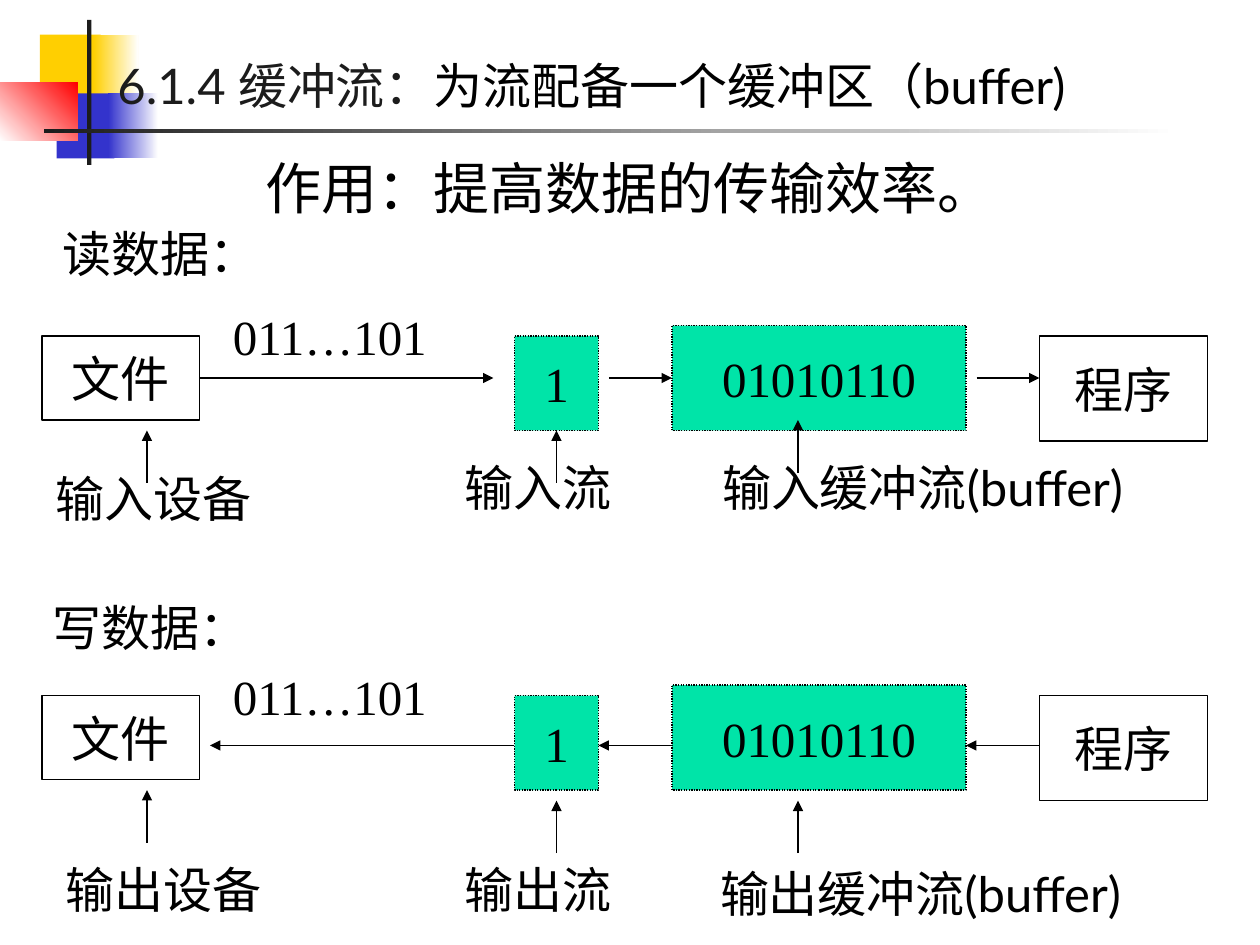
import pptx
import pptx.dml.color
import pptx.enum.dml
import pptx.enum.shapes
import pptx.enum.text
import pptx.oxml
import pptx.oxml.ns
import pptx.util
from dataclasses import dataclass


@dataclass(frozen=True)
class Theme:
    ink: str = "000000"
    charcoal: str = "1C1C1C"
    white: str = "FFFFFF"
    yellow: str = "FFCF01"
    blue: str = "3333CC"
    red: str = "FF0000"
    mint: str = "00E4A8"
    label_font: str = "Lato"
    data_font: str = "Times New Roman"
    body: int = 28
    lead: int = 32
    hairline: float = 0.75


THEME = Theme()
CELL = 1 / 12  # the slide is a grid of 120 columns by 90 rows
COLUMNS, ROWS = 120, 90

# Ornament: left, top, width, height in cells, then one colour or a fade of two
ORNAMENT = [
    ((3.8, 3.3, 5.8, 6.2), (THEME.yellow,), 0),
    ((8.9, 3.3, 4.3, 6.2), (THEME.yellow, THEME.white), 0),
    ((5.4, 8.9, 5.5, 6.2), (THEME.blue,), 0),
    ((10.3, 8.9, 4.8, 6.2), (THEME.blue, THEME.white), 0),
    ((0, 7.9, 7.4, 5.5), (THEME.white, THEME.red), 45),
    ((8.3, 1.9, 0.4, 13.8), (THEME.charcoal,), 0),
    ((4.2, 12.25, 108, 0.4), (THEME.charcoal, THEME.white), 0),
]

TITLE = [("6.1.4 缓冲流：", THEME.charcoal),
         ("为流配备一个缓冲区（buffer)", THEME.ink)]
PURPOSE = [(" 作用：提高数据的传输效率。", THEME.ink)]

# Stations shared by both diagrams; rows count from the diagram's top
STATIONS = [
    ("文件", (4, 0, 15, 8), None),
    ("1", (49, 0, 8, 9), THEME.mint),
    ("01010110", (64, -1, 28, 10), THEME.mint),
    ("程序", (99, 0, 16, 10), None),
]
BITS = ("011…101", (21, -5, 29, 10))
POINTER_COLUMNS = (14, 53, 76)
POINTER_LENGTH = 5
LABEL_WIDTHS = (21.2, 16.6, 43.2)
LABEL_HEIGHT = 6.8

DIAGRAMS = [
    {"top": 32, "heading": ("读数据：", 4.8, -11.35),
     "flow_row": 4, "flows": [(19, 47), (58, 64), (93, 99)],
     "pointer_tips": (9, 9, 8),
     "labels": [("输入设备", 4.1, 12), ("输入流", 43.1, 11),
                ("输入缓冲流(buffer)", 67.6, 11)]},
    {"top": 66.25, "heading": ("写数据：", 3.8, -9.95),
     "flow_row": 4.75, "flows": [(49, 20), (64, 57), (99, 92)],
     "pointer_tips": (9, 10, 10),
     "labels": [("输出设备", 5.1, 15), ("输出流", 43.1, 15),
                ("输出缓冲流(buffer)", 67.4, 15.35)]},
]


def cells(*counts):
    return [pptx.util.Inches(count * CELL) for count in counts]


def rgb(code):
    return pptx.dml.color.RGBColor.from_string(code)


def write(frame, text, color=THEME.ink, font=THEME.label_font, size=THEME.body,
          centred=False, middle=False, grow=False):
    """Fill a frame with a string, or with (string, colour) pairs."""
    enums = pptx.enum.text
    frame.word_wrap = False
    frame.auto_size = (enums.MSO_AUTO_SIZE.SHAPE_TO_FIT_TEXT if grow
                       else enums.MSO_AUTO_SIZE.NONE)
    frame.vertical_anchor = enums.MSO_ANCHOR.MIDDLE if middle else enums.MSO_ANCHOR.TOP
    paragraph = frame.paragraphs[0]
    paragraph.alignment = enums.PP_ALIGN.CENTER if centred else enums.PP_ALIGN.LEFT
    for words, shade in [(text, color)] if isinstance(text, str) else text:
        run = paragraph.add_run()
        run.text = words
        run.font.name = font
        run.font.size = pptx.util.Pt(size)
        run.font.color.rgb = rgb(shade)


def add_text(slide, text, area, **style):
    write(slide.shapes.add_textbox(*cells(*area)).text_frame, text, **style)


def add_box(slide, area):
    box = slide.shapes.add_shape(pptx.enum.shapes.MSO_SHAPE.RECTANGLE, *cells(*area))
    box.shadow.inherit = False
    return box


def add_ornament(slide, area, colors, angle):
    block = add_box(slide, area)
    block.line.fill.background()
    if len(colors) == 1:
        block.fill.solid()
        block.fill.fore_color.rgb = rgb(colors[0])
        return
    block.fill.gradient()
    block.fill.gradient_angle = angle
    for stop, color, position in zip(block.fill.gradient_stops, colors, (0, 1)):
        stop.color.rgb = rgb(color)
        stop.position = position


def add_station(slide, text, area, fill):
    station = add_box(slide, area)
    station.line.color.rgb = rgb(THEME.ink)
    station.line.width = pptx.util.Pt(THEME.hairline)
    if fill:
        station.fill.solid()
        station.fill.fore_color.rgb = rgb(fill)
        station.line.dash_style = pptx.enum.dml.MSO_LINE.ROUND_DOT
    else:
        station.fill.background()
    write(station.text_frame, text, font=THEME.data_font, centred=True, middle=True)


def add_arrow(slide, start, end):
    arrow = slide.shapes.add_connector(
        pptx.enum.shapes.MSO_CONNECTOR.STRAIGHT, *cells(*start, *end))
    arrow.line.color.rgb = rgb(THEME.ink)
    arrow.line.width = pptx.util.Pt(THEME.hairline)
    namespace = pptx.oxml.ns.nsdecls("a")
    properties = arrow._element.spPr
    properties.get_or_add_ln().append(
        pptx.oxml.parse_xml(f'<a:tailEnd {namespace} type="triangle"/>'))
    properties.append(pptx.oxml.parse_xml(f'<a:effectLst {namespace}/>'))


def add_diagram(slide, diagram):
    top = diagram["top"]

    def lowered(area):
        left, row, width, height = area
        return left, top + row, width, height

    for text, area, fill in STATIONS:
        add_station(slide, text, lowered(area), fill)
    bits, bits_area = BITS
    add_text(slide, bits, lowered(bits_area), font=THEME.data_font, middle=True)
    flow_row = top + diagram["flow_row"]
    for start, end in diagram["flows"]:
        add_arrow(slide, (start, flow_row), (end, flow_row))
    for column, tip in zip(POINTER_COLUMNS, diagram["pointer_tips"]):
        add_arrow(slide, (column, top + tip + POINTER_LENGTH), (column, top + tip))
    captions = [diagram["heading"], *diagram["labels"]]
    for (text, left, row), width in zip(captions, (LABEL_WIDTHS[0], *LABEL_WIDTHS)):
        add_text(slide, text, lowered((left, row, width, LABEL_HEIGHT)), grow=True)


def main():
    deck = pptx.Presentation()
    deck.slide_width, deck.slide_height = cells(COLUMNS, ROWS)
    slide = deck.slides.add_slide(deck.slide_layouts[6])
    for area, colors, angle in ORNAMENT:
        add_ornament(slide, area, colors, angle)
    add_text(slide, TITLE, (10, 4.7, 97.6, LABEL_HEIGHT), grow=True)
    for diagram in DIAGRAMS:
        add_diagram(slide, diagram)
    add_text(slide, PURPOSE, (22.9, 14.05, 73.3, 7.7), size=THEME.lead, grow=True)
    deck.save("out.pptx")


if __name__ == "__main__":
    main()
